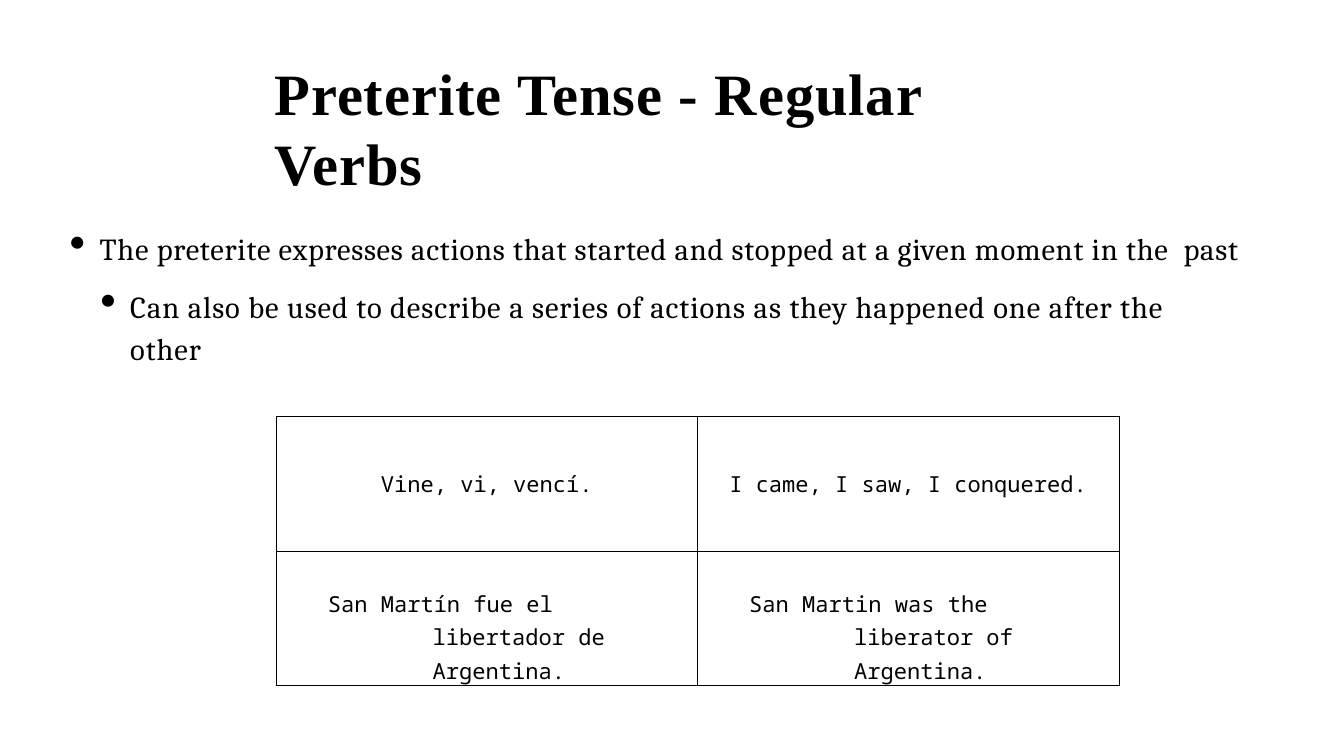
import dataclasses

import pptx
import pptx.dml.color
import pptx.enum.text
import pptx.oxml
import pptx.oxml.ns
import pptx.util

Pt = pptx.util.Pt
Anchor = pptx.enum.text.MSO_ANCHOR
Align = pptx.enum.text.PP_ALIGN


@dataclasses.dataclass(frozen=True)
class Theme:
    ink: str = "000000"
    title_font: str = "Times New Roman"
    body_font: str = "Cambria"
    table_font: str = "Noto Sans Mono"
    title_size: float = 69
    body_size: float = 36
    table_size: float = 26
    border: float = 1


@dataclasses.dataclass(frozen=True)
class Box:
    left: float
    top: float
    width: float
    height: float

    def lengths(self):
        return [Pt(value) for value in dataclasses.astuple(self)]


THEME = Theme()

POINTS = [
    "The preterite expresses actions that started and stopped "
    "at a given moment in the  past",
    "Can also be used to describe a series of actions as they happened "
    "one after the\vother",
]

EXAMPLES = [
    ("Vine, vi, vencí.", "I came, I saw, I conquered."),
    ("San Martín fue el libertador de Argentina.",
     "San Martin was the liberator of Argentina."),
]


def xml(markup):
    """Parse one DrawingML element written without its namespace."""
    space = pptx.oxml.ns.nsdecls("a")
    tag, rest = markup[1:].split(" ", 1)
    return pptx.oxml.parse_xml(f"<{tag} {space} {rest}")


def style(para, name, size, bold=False, spacing=0):
    font = para.font
    font.name, font.size, font.bold = name, Pt(size), bold
    font.color.rgb = pptx.dml.color.RGBColor.from_string(THEME.ink)
    para._p.get_or_add_pPr().get_or_add_defRPr().set("spc", str(round(spacing * 100)))


def indent(para, left, first):
    props = para._p.get_or_add_pPr()
    props.set("marL", str(Pt(left)))
    props.set("indent", str(Pt(first)))
    return props


def prepare(frame):
    frame.word_wrap = True
    frame.auto_size = pptx.enum.text.MSO_AUTO_SIZE.NONE
    frame.vertical_anchor = Anchor.TOP
    frame.margin_left = frame.margin_right = frame.margin_bottom = 0
    frame.margin_top = Pt(1)


def place_title(page, box):
    title = page.shapes.title
    title.left, title.top, title.width, title.height = box.lengths()
    prepare(title.text_frame)
    para = title.text_frame.paragraphs[0]
    para.text = "Preterite Tense - Regular Verbs"
    para.alignment = Align.LEFT
    para.space_before = Pt(1.2)
    style(para, THEME.title_font, THEME.title_size, bold=True, spacing=1.15)


def place_points(page, box):
    frame = page.shapes.add_textbox(*box.lengths()).text_frame
    prepare(frame)
    for level, text in enumerate(POINTS):
        para = frame.paragraphs[0] if level == 0 else frame.add_paragraph()
        para.text = text
        para.level = level
        para.line_spacing = 1.13
        para.space_before = Pt(0.9 if level == 0 else 19.8)
        # Each level steps in by one bullet width
        props = indent(para, 36 * (level + 1), -35.3)
        props.append(xml('<a:buSzPct val="151000"/>'))
        props.append(xml('<a:buChar char="•"/>'))
        style(para, THEME.body_font, THEME.body_size, spacing=0.9 + 0.2 * level)


def frame_cell(cell):
    cell.fill.background()
    props = cell._tc.get_or_add_tcPr()
    for position, side in enumerate("LRTB"):
        props.insert(position, xml(
            f'<a:ln{side} w="{Pt(THEME.border)}"><a:solidFill>'
            f'<a:srgbClr val="{THEME.ink}"/></a:solidFill></a:ln{side}>'))


def place_examples(page, box):
    rows, columns = len(EXAMPLES), len(EXAMPLES[0])
    table = page.shapes.add_table(rows, columns, *box.lengths()).table
    table.first_row = table.horz_banding = False
    for row, pair in enumerate(EXAMPLES):
        table.rows[row].height = Pt(box.height / rows)
        for column, text in enumerate(pair):
            cell = table.cell(row, column)
            cell.margin_left = cell.margin_right = 0
            cell.margin_top = cell.margin_bottom = 0
            para = cell.text_frame.paragraphs[0]
            para.text = text
            if row == 0:
                # Short sentences sit in the middle
                cell.vertical_anchor = Anchor.MIDDLE
                para.alignment = Align.CENTER
            else:
                # Long sentences hang from their first line
                cell.vertical_anchor = Anchor.BOTTOM
                cell.margin_right = Pt(48)
                para.line_spacing = 1.11
                indent(para, 184.3, -123.5)
            style(para, THEME.table_font, THEME.table_size)
            frame_cell(cell)


def build():
    deck = pptx.Presentation()
    deck.slide_width, deck.slide_height = Pt(1583.3), Pt(890.6)
    page = deck.slides.add_slide(deck.slide_layouts.get_by_name("Title Only"))
    place_title(page, Box(323.3, 66.2, 936.7, 85))
    place_points(page, Box(81.4, 264.2, 1386, 218.2))
    place_examples(page, Box(325.4, 490.3, 992.9, 317.5))
    deck.save("out.pptx")


build()
